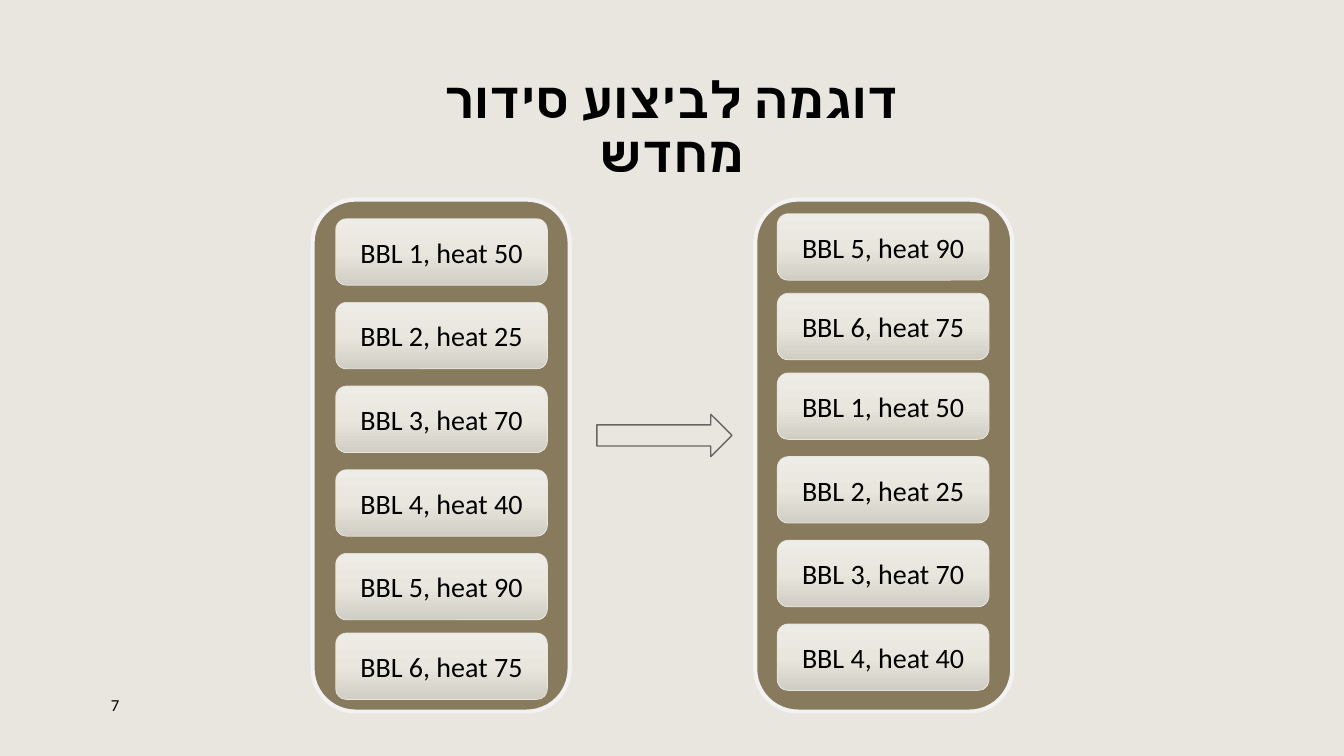
from copy import deepcopy

from lxml import etree
from pptx import Presentation
from pptx.dml.color import RGBColor
from pptx.enum.shapes import MSO_SHAPE
from pptx.enum.text import MSO_ANCHOR, MSO_AUTO_SIZE, PP_ALIGN
from pptx.oxml.ns import qn
from pptx.util import Inches, Pt

ROUNDED, RIGHT_ARROW = MSO_SHAPE.ROUNDED_RECTANGLE, MSO_SHAPE.RIGHT_ARROW
MIDDLE, NO_AUTOFIT = MSO_ANCHOR.MIDDLE, MSO_AUTO_SIZE.NONE
CENTER, LEFT = PP_ALIGN.CENTER, PP_ALIGN.LEFT

BACKGROUND = RGBColor(0xE9, 0xE6, 0xDF)
PANEL = RGBColor(0x87, 0x7A, 0x5D)
PANEL_EDGE = RGBColor(0xF3, 0xF2, 0xF2)
ARROW_EDGE = RGBColor(0x66, 0x65, 0x62)
TEXT = RGBColor(0x00, 0x00, 0x00)
CARD_STOPS = [
    (0, RGBColor(0xEE, 0xEC, 0xE6)),
    (0.5, RGBColor(0xE9, 0xE6, 0xDE)),
    (1, RGBColor(0xD0, 0xCD, 0xC5)),
]

FONT = "Calibri"
CARD_WIDTH, CARD_HEIGHT = 2.1, 0.66
WIDE_STEP, TIGHT_STEP = 0.83, 0.79
HEATS = {1: 50, 2: 25, 3: 70, 4: 40, 5: 90, 6: 75}


def write(frame, text, size, align=CENTER, bold=False, rtl=False, spacing=None):
    """Put one formatted paragraph into a text frame."""
    frame.word_wrap = True
    frame.auto_size = NO_AUTOFIT
    frame.vertical_anchor = MIDDLE
    paragraph = frame.paragraphs[0]
    paragraph.alignment = align
    paragraph.line_spacing = spacing
    if rtl:
        paragraph._p.get_or_add_pPr().set("rtl", "1")
    run = paragraph.add_run()
    run.text = text
    run.font.name = FONT
    run.font.size = Pt(size)
    run.font.bold = bold
    run.font.color.rgb = TEXT
    etree.SubElement(run._r.rPr, qn("a:cs"), typeface=FONT)


def add_block(shapes, preset, box, edge, edge_width, fill=None):
    """Add an outlined shape without shadow, solid or left for a gradient."""
    block = shapes.add_shape(preset, *map(Inches, box))
    block.shadow.inherit = False
    block.line.color.rgb = edge
    block.line.width = Pt(edge_width)
    if fill is not None:
        block.fill.solid()
        block.fill.fore_color.rgb = fill
    return block


def shade_card(card):
    """Fill a card with the three-stop vertical gradient."""
    card.fill.gradient()
    card.fill.gradient_angle = 270
    stop_list = card._element.spPr.find(".//" + qn("a:gsLst"))
    stop_list.insert(1, deepcopy(stop_list[0]))
    for stop, (position, color) in zip(card.fill.gradient_stops, CARD_STOPS):
        stop.position = position
        stop.color.rgb = color


def add_stack(slide, box, order, inset, first_top, steps):
    """Draw a panel and its cards, spaced downwards by the given steps."""
    left, top, _, _ = box
    stack = slide.shapes.add_group_shape().shapes
    add_block(stack, ROUNDED, box, PANEL_EDGE, 3, PANEL)
    for index, number in enumerate(order):
        card_top = top + first_top + sum(steps[:index])
        card_box = (left + inset, card_top, CARD_WIDTH, CARD_HEIGHT)
        card = add_block(stack, ROUNDED, card_box, BACKGROUND, 0.5)
        shade_card(card)
        write(card.text_frame, f"BBL {number}, heat {HEATS[number]}", 20)


def add_title(slide, box):
    """Place the slide title."""
    title = slide.shapes.title
    title.left, title.top, title.width, title.height = map(Inches, box)
    write(title.text_frame, "דוגמה לביצוע סידור מחדש", 36,
          bold=True, rtl=True, spacing=0.9)


def add_page_number(slide, box):
    """Place the page number."""
    page_number = slide.shapes.add_textbox(*map(Inches, box))
    write(page_number.text_frame, "7", 12, align=LEFT)


def main():
    """Build and save the reordering slide."""
    deck = Presentation()
    deck.slide_width, deck.slide_height = Inches(13.33), Inches(7.5)
    slide = deck.slides.add_slide(deck.slide_layouts[5])
    slide.background.fill.solid()
    slide.background.fill.fore_color.rgb = BACKGROUND
    add_title(slide, (3.83, 0.49, 5.66, 1.58))
    add_page_number(slide, (1, 6.83, 0.69, 0.32))
    add_stack(slide, (3.1, 1.98, 2.55, 5.08), [1, 2, 3, 4, 5, 6],
              0.23, 0.19, [WIDE_STEP] * 4 + [TIGHT_STEP])
    add_stack(slide, (7.49, 1.98, 2.55, 5.08), [5, 6, 1, 2, 3, 4],
              0.22, 0.14, [TIGHT_STEP] * 2 + [WIDE_STEP] * 3)
    add_block(slide.shapes, RIGHT_ARROW, (5.92, 4.11, 1.34, 0.42),
              ARROW_EDGE, 1, BACKGROUND)
    deck.save("out.pptx")


if __name__ == "__main__":
    main()
